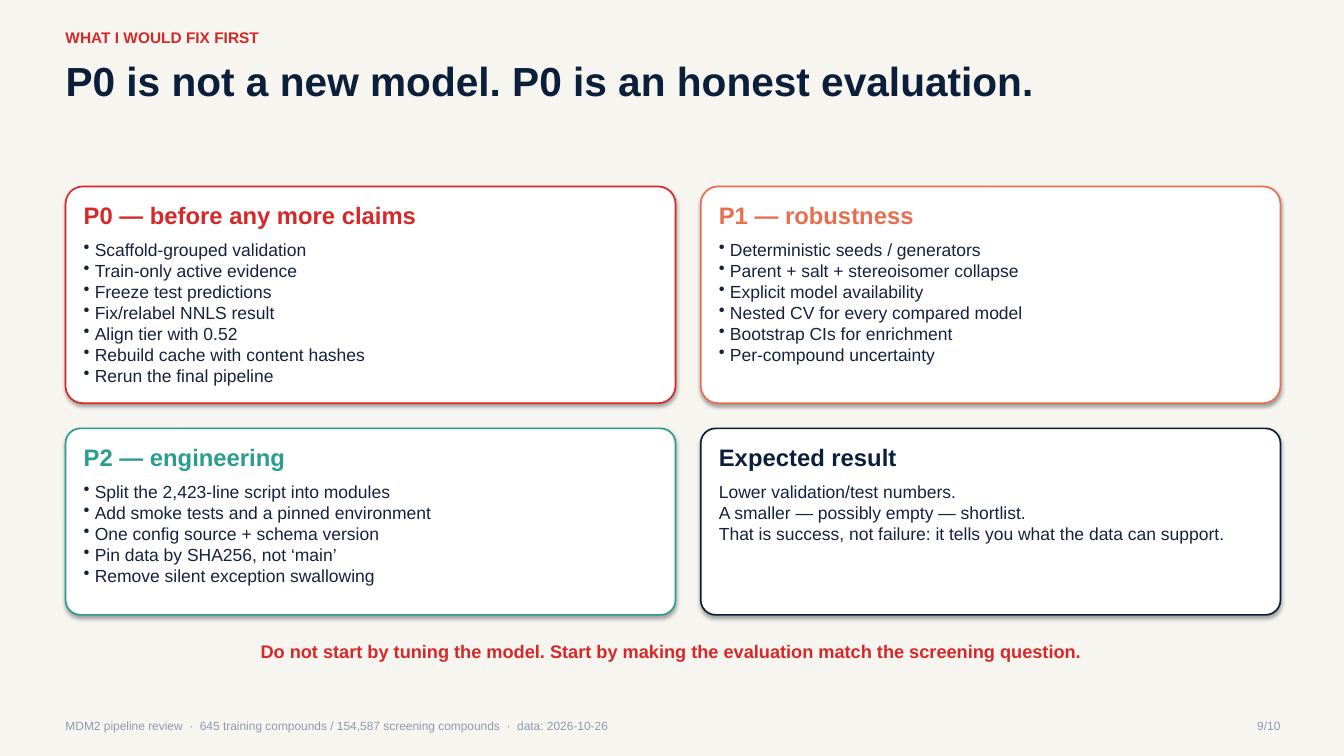
"""Build the slide on which evaluation fixes come first."""
from lxml.etree import SubElement
from pptx import Presentation
from pptx.dml.color import RGBColor
from pptx.enum.shapes import MSO_SHAPE
from pptx.enum.text import MSO_ANCHOR, MSO_AUTO_SIZE, PP_ALIGN
from pptx.oxml.ns import qn
from pptx.util import Pt

PX = 9144
COLORS = {
    "paper": "F7F5F0", "white": "FFFFFF", "navy": "0B1F3A", "ink": "16213E",
    "red": "D62828", "coral": "E76F51", "teal": "2A9D8F", "grey": "8D99AE",
    "black": "000000",
}
PAD = 18
BULLET_INDENT = 11 * PX


def rgb(name):
    return RGBColor.from_string(COLORS[name])


def write(box, lines, size, color, bold=False, align=PP_ALIGN.LEFT, bulleted=False):
    frame = box.text_frame
    frame.margin_left = frame.margin_top = frame.margin_right = frame.margin_bottom = 0
    frame.word_wrap = True
    frame.auto_size = MSO_AUTO_SIZE.NONE
    frame.vertical_anchor = MSO_ANCHOR.TOP
    for index, line in enumerate(lines):
        paragraph = frame.add_paragraph() if index else frame.paragraphs[0]
        paragraph.alignment = align
        if bulleted:
            properties = paragraph._p.get_or_add_pPr()
            properties.set("marL", str(BULLET_INDENT))
            properties.set("indent", str(-BULLET_INDENT))
            SubElement(properties, qn("a:buChar"), char="•")
        run = paragraph.add_run()
        run.text = line
        run.font.name = "Arial"
        run.font.size = Pt(size)
        run.font.bold = bold
        run.font.color.rgb = rgb(color)


deck = Presentation()
deck.slide_width, deck.slide_height = 1333 * PX, 750 * PX
slide = deck.slides.add_slide(deck.slide_layouts[5])
slide.background.fill.solid()
slide.background.fill.fore_color.rgb = rgb("paper")

headline = slide.shapes.title
headline.left, headline.top = 65 * PX, 55 * PX
headline.width, headline.height = 1200 * PX, 48 * PX
write(headline, ["P0 is not a new model. P0 is an honest evaluation."], 29, "navy", True)

LEFT, RIGHT = (65, 605), (695, 575)
UPPER, LOWER = (185, 215), (425, 185)
priorities = [
    (LEFT, UPPER, "red", "P0 — before any more claims", True, [
        "Scaffold-grouped validation", "Train-only active evidence",
        "Freeze test predictions", "Fix/relabel NNLS result",
        "Align tier with 0.52", "Rebuild cache with content hashes",
        "Rerun the final pipeline"]),
    (RIGHT, UPPER, "coral", "P1 — robustness", True, [
        "Deterministic seeds / generators", "Parent + salt + stereoisomer collapse",
        "Explicit model availability", "Nested CV for every compared model",
        "Bootstrap CIs for enrichment", "Per-compound uncertainty"]),
    (LEFT, LOWER, "teal", "P2 — engineering", True, [
        "Split the 2,423-line script into modules",
        "Add smoke tests and a pinned environment",
        "One config source + schema version", "Pin data by SHA256, not ‘main’",
        "Remove silent exception swallowing"]),
    (RIGHT, LOWER, "navy", "Expected result", False, [
        "Lower validation/test numbers.", "A smaller — possibly empty — shortlist.",
        "That is success, not failure: it tells you what the data can support."]),
]
for (left, width), (top, height), color, heading, bulleted, points in priorities:
    card = slide.shapes.add_shape(
        MSO_SHAPE.ROUNDED_RECTANGLE, left * PX, top * PX, width * PX, height * PX)
    card.adjustments[0] = 0.08
    card.fill.solid()
    card.fill.fore_color.rgb = rgb("white")
    card.line.color.rgb = rgb(color)
    card.line.width = Pt(1.19)
    card.shadow.inherit = False
    effects = card._element.spPr.find(qn("a:effectLst"))
    shadow = SubElement(effects, qn("a:outerShdw"), blurRad=str(Pt(3.1)),
                        dist=str(Pt(1.8)), dir="5400000", algn="ctr", rotWithShape="0")
    tint = SubElement(shadow, qn("a:srgbClr"), val=COLORS["black"])
    SubElement(tint, qn("a:alpha"), val="35000")

    inner_left, inner_width = (left + PAD) * PX, (width - 2 * PAD) * PX
    card_heading = slide.shapes.add_textbox(
        inner_left, (top + 14) * PX, inner_width, 28 * PX)
    write(card_heading, [heading], 17, color, True)
    card_points = slide.shapes.add_textbox(
        inner_left, (top + 52) * PX, inner_width, 21 * len(points) * PX)
    write(card_points, points, 12.5, "ink", bulleted=bulleted)

captions = [
    (65, 28, 1200, 18, "WHAT I WOULD FIX FIRST", 11, "red", True, PP_ALIGN.LEFT),
    (65, 635, 1200, 22, "Do not start by tuning the model. Start by making the "
     "evaluation match the screening question.", 13, "red", True, PP_ALIGN.CENTER),
    (65, 713, 1100, 14, "MDM2 pipeline review  ·  645 training compounds / 154,587 "
     "screening compounds  ·  data: 2026-10-26", 8.5, "grey", False, PP_ALIGN.LEFT),
    (1220, 713, 50, 14, "9/10", 8.5, "grey", False, PP_ALIGN.RIGHT),
]
for left, top, width, height, wording, size, color, bold, align in captions:
    caption = slide.shapes.add_textbox(left * PX, top * PX, width * PX, height * PX)
    write(caption, [wording], size, color, bold, align)

deck.save("out.pptx")
